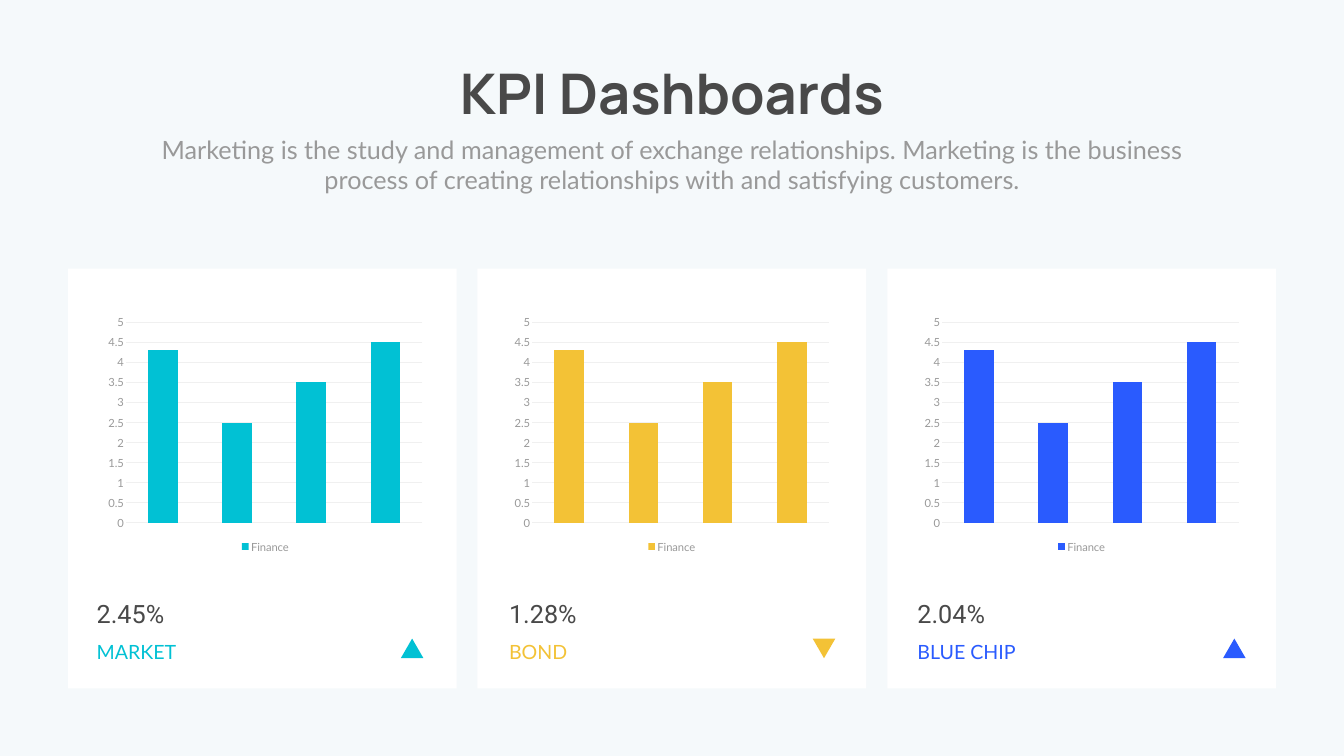
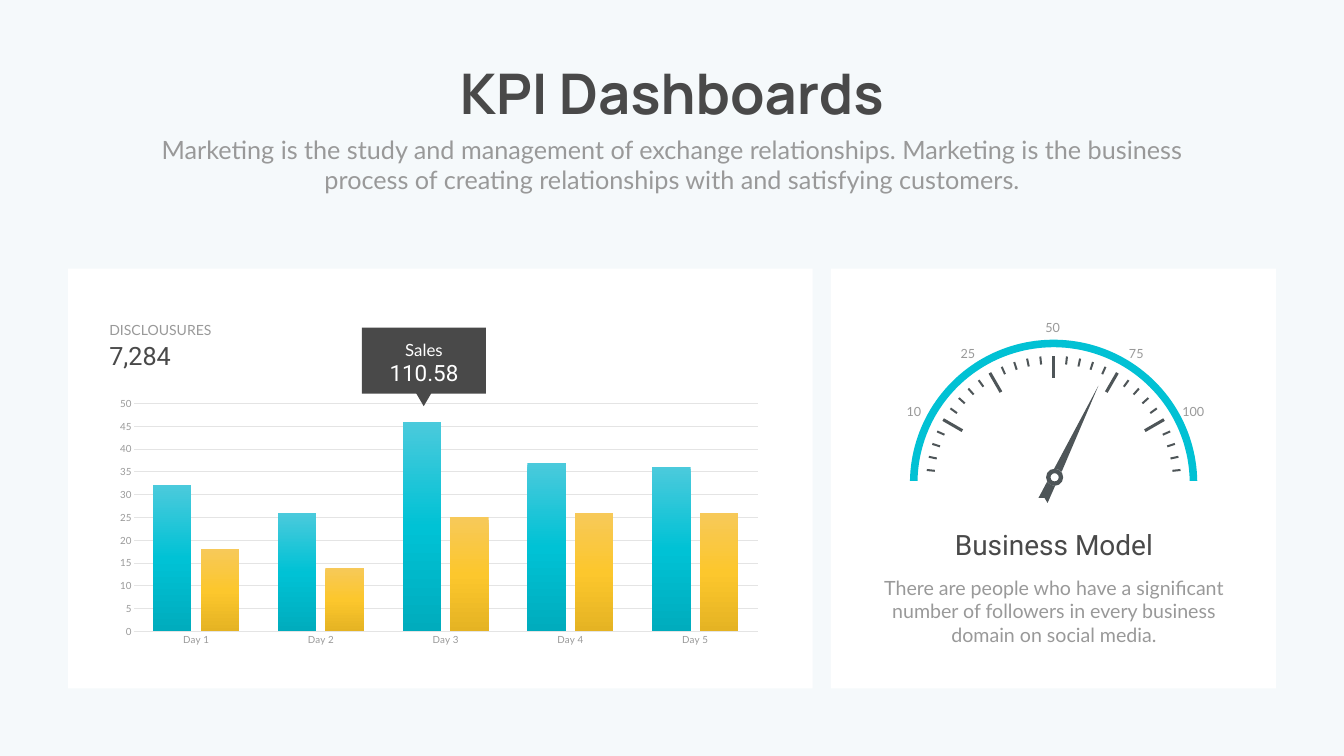
from copy import deepcopy
from math import cos, radians, sin

from pptx import Presentation
from pptx.chart.data import CategoryChartData as Data
from pptx.dml.color import RGBColor as RGB
from pptx.enum.chart import XL_CHART_TYPE as Kind
from pptx.enum.chart import XL_LEGEND_POSITION as Legend
from pptx.enum.chart import XL_TICK_MARK as Mark
from pptx.enum.shapes import MSO_SHAPE as Form
from pptx.enum.text import MSO_ANCHOR as Anchor
from pptx.enum.text import MSO_AUTO_SIZE as Auto
from pptx.enum.text import PP_ALIGN as Align
from pptx.oxml.ns import qn
from pptx.util import Inches, Pt

HUES = {
    "back": "F5F9FB", "card": "FFFFFF", "dark": "494949", "gray": "999999",
    "teal": "01C1D4", "gold": "F3C236", "blue": "2A5BFE", "steel": "4E5558",
    "pale": "F0F0F0", "rule": "E4E4E4",
}
HEAD = "KPI Dashboards"
LEAD = ("Marketing is the study and management of exchange relationships. "
        "Marketing is the business process of creating relationships with "
        "and satisfying customers.")


def write(slide, text, at, box=None, size=28, font="Lato", hue="gray",
          align=Align.LEFT, bold=False, lead=None, wrap=True):
    """Put one formatted paragraph in a new text box or in a given one."""
    box = box or slide.shapes.add_textbox(0, 0, 0, 0)
    box.left, box.top, box.width, box.height = [Inches(v) for v in at]
    frame = box.text_frame
    frame.text = text
    frame.word_wrap = wrap
    frame.auto_size = Auto.NONE
    frame.vertical_anchor = Anchor.TOP
    par = frame.paragraphs[0]
    par.alignment = align
    par.line_spacing = Pt(lead) if lead else 1.0
    par.font.size = Pt(size)
    par.font.name = font
    par.font.bold = bold
    par.font.color.rgb = RGB.from_string(HUES[hue])


def draw(slide, hue, form=None, at=None, dots=None, turn=0):
    """Draw a flat preset shape, or a polygon through the given dots."""
    if dots:
        ends = [(Inches(x), Inches(y)) for x, y in dots]
        pen = slide.shapes.build_freeform(*ends[0])
        pen.add_line_segments(ends[1:], close=True)
        shape = pen.convert_to_shape()
    else:
        shape = slide.shapes.add_shape(form, *[Inches(v) for v in at])
    shape.rotation = turn
    shape.shadow.inherit = False
    shape.fill.solid()
    shape.fill.fore_color.rgb = RGB.from_string(HUES[hue])
    shape.line.fill.background()
    return shape


deck = Presentation()
deck.slide_width, deck.slide_height = Inches(26.66), Inches(15)

# Shared ground, title, lead and white cards
TOP, TALL = 5.33, 8.33
cards = [
    [(1.35, 7.71), (9.47, 7.71), (17.6, 7.71)],
    [(1.35, 14.77), (16.48, 8.83)],
]
slides = []
for row in cards:
    slide = deck.slides.add_slide(deck.slide_layouts[5])
    slide.background.fill.solid()
    slide.background.fill.fore_color.rgb = RGB.from_string(HUES["back"])
    write(slide, HEAD, (8.67, 1.12, 9.32, 1.45), box=slide.shapes.title,
          size=80, font="Manrope", hue="dark", align=Align.CENTER,
          bold=True, wrap=False)
    write(slide, LEAD, (2.92, 2.61, 20.82, 1.31), size=36,
          align=Align.CENTER)
    for x, w in row:
        draw(slide, "card", Form.RECTANGLE, (x, TOP, w, TALL))
    slides.append(slide)
first, last = slides
charts = []

# Slide 1: three index cards
# name, change, hue, text x, chart x, arrow x, arrow turn
stocks = [
    ("MARKET", "2.45%", "teal", 1.82, 2.02, 7.95, 0),
    ("BOND", "1.28%", "gold", 10, 10.08, 16.12, 180),
    ("BLUE CHIP", "2.04%", "blue", 18.1, 18.21, 24.26, 0),
]
for name, rate, hue, x, left, tip, turn in stocks:
    data = Data()
    data.categories = ["1", "2", "3", "4"]
    data.add_series("Finance", [4.3, 2.5, 3.5, 4.5])
    chart = first.shapes.add_chart(
        Kind.COLUMN_STACKED, Inches(left), Inches(6.17), Inches(6.49),
        Inches(4.85), data).chart
    charts.append((chart, 16, "pale", 5, 0.5, 150, 100))
    fill = chart.plots[0].series[0].format.fill
    fill.solid()
    fill.fore_color.rgb = RGB.from_string(HUES[hue])
    write(first, rate, (x, 11.82, 2.04, 0.71), size=36, font="Roboto",
          hue="dark")
    write(first, name, (x, 12.55, 2.93, 0.62), hue=hue, lead=40.8)
    draw(first, hue, Form.ISOSCELES_TRIANGLE, (tip, 12.67, 0.45, 0.39),
         turn=turn)

# Slide 2: daily columns with gradient fills
data = Data()
data.categories = [f"Day {n}" for n in range(1, 6)]
data.add_series("Series 1", [32, 26, 46, 37, 36])
data.add_series("Series 2", [18, 14, 25, 26, 26])
chart = last.shapes.add_chart(
    Kind.COLUMN_CLUSTERED, Inches(2.12), Inches(7.78), Inches(13.17),
    Inches(5.13), data).chart
charts.append((chart, 14, "rule", 50, 5, 100, -24))
shades = [("4BCADC", "00C2D5", "00ACBD"), ("F7C959", "FCC72D", "E5B323")]
for series, tones in zip(chart.plots[0].series, shades):
    fill = series.format.fill
    fill.gradient()
    fill.gradient_angle = 270
    stops = next(series.format._element.iter(qn("a:gsLst")))
    stops.append(deepcopy(stops[0]))
    for stop, tone, spot in zip(fill.gradient_stops, tones, (0, 0.5, 1)):
        stop.color.rgb = RGB.from_string(tone)
        stop.position = spot

# Headline figure and sales flag
write(last, "DISCLOUSURES", (2.07, 6.09, 3.6, 0.59), size=20, lead=40.8)
write(last, "7,284", (2.07, 6.71, 2.04, 0.71), size=36, font="Roboto",
      hue="dark")
draw(last, "dark", Form.RECTANGLE, (7.18, 6.5, 2.46, 1.31))
draw(last, "dark", Form.ISOSCELES_TRIANGLE, (8.16, 7.64, 0.49, 0.42),
     turn=180)
write(last, "Sales", (7.5, 6.53, 1.82, 0.6), size=24, hue="card",
      align=Align.CENTER, lead=40.8)
write(last, "110.58", (7.5, 7.08, 1.82, 0.64), size=32, font="Roboto",
      hue="card", align=Align.CENTER)

# Gauge arc: outer edge one way, inner edge back
MID, BASE = 20.9, 9.59
sweep = range(-89, 90, 2)
edge = [(2.85, a) for a in sweep] + [(2.7, a) for a in reversed(sweep)]
draw(last, "teal", dots=[(MID + r * sin(radians(a)),
                          BASE - r * cos(radians(a))) for r, a in edge])

# Gauge ticks: every 6 degrees, long ones every 30
for deg in range(-84, 85, 6):
    near, half = (2.09, 0.03) if deg % 30 == 0 else (2.37, 0.02)
    s, c = sin(radians(deg)), cos(radians(deg))
    ends = [(near, -half), (2.53, -half), (2.53, half), (near, half)]
    draw(last, "steel", dots=[(MID + r * s + d * c, BASE - r * c + d * s)
                              for r, d in ends])

# Gauge needle, tail and hub
draw(last, "steel", dots=[(21.06, 9.36), (21.79, 7.65), (20.91, 9.3),
                          (21, 9.32)])
draw(last, "steel", dots=[(20.77, 9.56), (20.6, 9.88), (20.72, 9.88),
                          (20.78, 9.98), (20.93, 9.64), (20.84, 9.62)])
hub = draw(last, "steel", Form.DONUT, (20.75, 9.3, 0.34, 0.34))
hub.adjustments[0] = 0.26

# Gauge numbers and caption
marks = [("10", 17.78, 7.7), ("25", 18.85, 6.54), ("50", 20.53, 6.04),
         ("75", 22.19, 6.54), ("100", 23.32, 7.7)]
for text, x, y in marks:
    write(last, text, (x, y, 0.7, 0.59), size=18, align=Align.CENTER,
          lead=40.8)
write(last, "Business Model", (17.27, 10.42, 7.27, 0.77), size=40,
      font="Roboto", hue="dark", align=Align.CENTER)
write(last, "There are people who have a significant number of followers "
      "in every business domain on social media.",
      (17.27, 11.37, 7.27, 1.51), align=Align.CENTER)

# Common chart style
for chart, size, grid, peak, step, gap, lap in charts:
    chart.has_title = False
    chart.font.size = Pt(size)
    chart.font.name = "Lato"
    chart.font.color.rgb = RGB.from_string(HUES["gray"])
    plot = chart.plots[0]
    plot.gap_width, plot.overlap = gap, lap
    plot.vary_by_categories = False
    days, scale = chart.category_axis, chart.value_axis
    days.major_tick_mark = scale.major_tick_mark = Mark.NONE
    days.format.line.color.rgb = RGB.from_string(HUES["rule"])
    days.format.line.width = Pt(0.75)
    scale.minimum_scale, scale.maximum_scale = 0, peak
    scale.major_unit = step
    scale.format.line.fill.background()
    line = scale.major_gridlines.format.line
    line.color.rgb = RGB.from_string(HUES[grid])
    line.width = Pt(0.75)
    single = len(plot.series) == 1
    days.visible = not single
    chart.has_legend = single
    if single:
        chart.legend.position = Legend.BOTTOM
        chart.legend.include_in_layout = False

deck.save("out.pptx")
